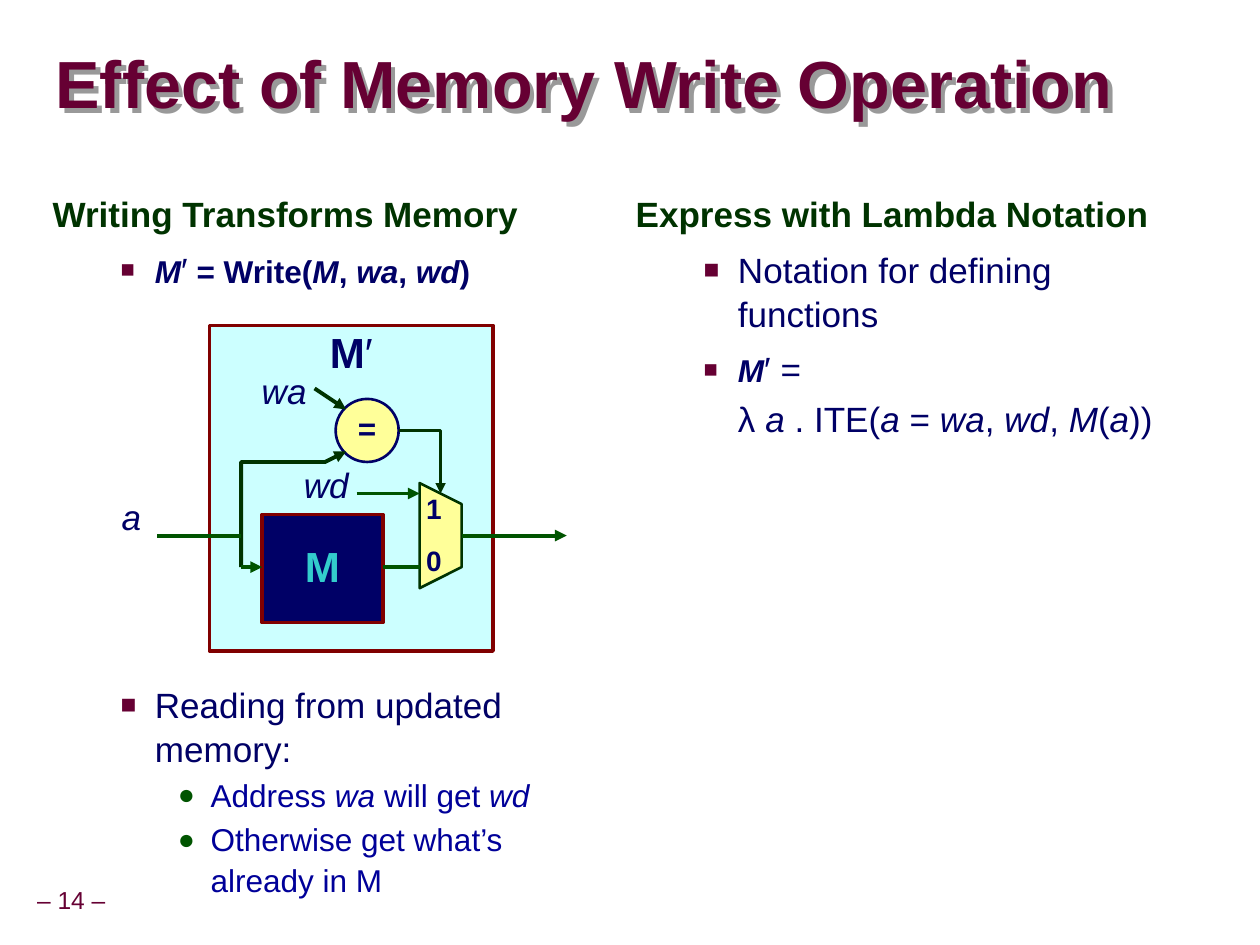
from collections import namedtuple
from lxml.etree import SubElement
from pptx import Presentation
from pptx.dml.color import RGBColor
from pptx.enum.shapes import MSO_CONNECTOR as Link, MSO_SHAPE as Shape
from pptx.enum.text import MSO_ANCHOR as Anchor, PP_ALIGN as Align
from pptx.oxml.ns import qn
from pptx.util import Cm, Pt

FONT = "Arial"
WINE = RGBColor(0x66, 0x00, 0x33)
FOREST = RGBColor(0x00, 0x33, 0x00)
GREEN = RGBColor(0x00, 0x54, 0x00)
NAVY = RGBColor(0x00, 0x00, 0x66)
BLUE = RGBColor(0x00, 0x00, 0x99)
MAROON = RGBColor(0x80, 0x00, 0x00)
AQUA = RGBColor(0xCC, 0xFF, 0xFF)
TEAL = RGBColor(0x33, 0xCC, 0xCC)
YELLOW = RGBColor(0xFF, 0xFF, 0x99)
SHADOW = RGBColor(0x99, 0x99, 0x99)

Box = namedtuple("Box", "left top width height")
Level = namedtuple("Level", "size color bold spacing before margin hang bullet")
Bullet = namedtuple("Bullet", "char color percent")

SQUARE = Bullet("■", WINE, 75)
DOT = Bullet("●", GREEN, 90)
HEADING = Level(20, FOREST, True, 0.95, 12.5, 0, 0, None)
ITEM = Level(20, NAVY, False, 1.05, 6.2, 2.06, 0.69, SQUARE)
FORMULA = Level(20, NAVY, False, 0.95, 6.2, 2.06, 0, None)
SUBITEM = Level(18, BLUE, False, 1.07, 2.2, 3.18, 0.66, DOT)


def add_spans(para, text, size=20, color=NAVY, bold=False):
    """Add text to a paragraph; parts between bars are italic."""
    for index, part in enumerate(text.split("|")):
        if part:
            span = para.add_run()
            span.text = part
            font = span.font
            font.name, font.size, font.bold = FONT, Pt(size), bold
            font.italic = index % 2 == 1
            font.color.rgb = color


def prepare_frame(frame, anchor=Anchor.TOP, wrap=True, inset=0.13, side=0.13):
    frame.word_wrap = wrap
    frame.vertical_anchor = anchor
    frame.margin_left = frame.margin_right = Cm(side)
    frame.margin_top = frame.margin_bottom = Cm(inset)
    return frame


def write_label(shape, *pieces, anchor=Anchor.MIDDLE):
    """Write one centred line from (text, format) pieces."""
    para = prepare_frame(shape.text_frame, anchor, wrap=False).paragraphs[0]
    para.alignment, para.line_spacing = Align.CENTER, 0.9
    for text, style in pieces:
        add_spans(para, text, **style)


def set_bullet(para, level):
    props = para._p.get_or_add_pPr()
    props.set("marL", str(Cm(level.margin)))
    props.set("indent", str(-Cm(level.hang)))
    if level.bullet:
        color = SubElement(props, qn("a:buClr"))
        SubElement(color, qn("a:srgbClr"), val=str(level.bullet.color))
        SubElement(props, qn("a:buSzPct"), val=str(level.bullet.percent * 1000))
        SubElement(props, qn("a:buFont"), typeface=FONT)
        SubElement(props, qn("a:buChar"), char=level.bullet.char)
    else:
        SubElement(props, qn("a:buNone"))


def add_column(page, box, *lines):
    """Add a text column; each line is a level and its (text, format) pieces."""
    frame = prepare_frame(page.shapes.add_textbox(*box).text_frame, side=0.25)
    for index, (level, *pieces) in enumerate(lines):
        para = frame.add_paragraph() if index else frame.paragraphs[0]
        para.line_spacing, para.space_before = level.spacing, Pt(level.before)
        set_bullet(para, level)
        base = dict(size=level.size, color=level.color, bold=level.bold)
        for text, style in pieces:
            add_spans(para, text, **{**base, **style})


def add_title(page, box, text):
    shape = page.shapes.add_textbox(*box)
    frame = prepare_frame(shape.text_frame, Anchor.MIDDLE, inset=0, side=0)
    para = frame.paragraphs[0]
    para.line_spacing = 0.87
    add_spans(para, text, size=38, color=WINE, bold=True)
    effects = SubElement(shape._element.spPr, qn("a:effectLst"))
    shadow = SubElement(effects, qn("a:outerShdw"), blurRad="0",
                        dist=str(Cm(0.13)), dir="2700000", algn="ctr", rotWithShape="0")
    SubElement(shadow, qn("a:srgbClr"), val=str(SHADOW))


def style_shape(shape, fill, line, width):
    shape.shadow.inherit = False
    if fill is None:
        shape.fill.background()
    else:
        shape.fill.solid()
        shape.fill.fore_color.rgb = fill
    shape.line.color.rgb = line
    shape.line.width = Pt(width)


def add_arrowhead(shape):
    SubElement(shape.line._get_or_add_ln(), qn("a:tailEnd"), type="triangle")


def add_memory_diagram(page, box):
    """Draw the memory circuit on a grid of 27 columns across the box."""
    unit = box.width / 27

    def at(x, y):
        return round(box.left + x * unit), round(box.top + y * unit)

    def size(width, height):
        return round(width * unit), round(height * unit)

    def block(kind, x, y, width, height, fill, line, weight):
        shape = page.shapes.add_shape(kind, *at(x, y), *size(width, height))
        style_shape(shape, fill, line, weight)
        return shape

    def outline(points, closed, fill, line, weight):
        corners = [at(*point) for point in points]
        builder = page.shapes.build_freeform(*corners[0])
        builder.add_line_segments(corners[1:], close=closed)
        shape = builder.convert_to_shape()
        style_shape(shape, fill, line, weight)
        return shape

    def wire(start, end, color=GREEN, arrow=True):
        line = page.shapes.add_connector(Link.STRAIGHT, *at(*start), *at(*end))
        line.line.color.rgb = color
        line.line.width = Pt(2.25)
        if arrow:
            add_arrowhead(line)
        SubElement(line._element.spPr, qn("a:effectLst"))

    outer = block(Shape.RECTANGLE, 0, 0, 27, 31, AQUA, MAROON, 2)
    write_label(outer, ("M", dict(size=24, bold=True)), ("′", dict(size=24)),
                anchor=Anchor.TOP)
    memory = block(Shape.RECTANGLE, 5, 18, 11.5, 10.3, NAVY, MAROON, 2)
    write_label(memory, ("M", dict(size=24, color=TEAL, bold=True)))
    equals = block(Shape.OVAL, 12, 7, 6, 6, YELLOW, NAVY, 1.5)
    write_label(equals, ("=", dict(size=18, bold=True)))
    outline([(20, 25), (20, 15), (24, 17), (24, 23)], True, YELLOW, FOREST, 1.5)

    for points, weight in (([(3, 23), (3, 13), (11, 13), (13, 12)], 2.25),
                           ([(18, 10), (22, 10), (22, 16)], 1.5)):
        add_arrowhead(outline(points, False, None, FOREST, weight))

    wire((16.5, 23), (20, 23), arrow=False)
    wire((3, 23), (5, 23))
    wire((14, 16), (20, 16))
    wire((10, 6), (13, 8), color=FOREST)
    wire((-5, 20), (3, 20), arrow=False)
    wire((24, 20), (34, 20))

    for text, x, y, width, height, style in (
            ("|wa|", 4, 4, 6.2, 4.8, {}),
            ("|wd|", 8, 13, 6.2, 4.8, {}),
            ("|a|", -9, 16, 3.1, 4.8, {}),
            ("1", 20, 16.6, 2.6, 2, dict(size=16, bold=True)),
            ("0", 20, 21.6, 2.6, 2, dict(size=16, bold=True))):
        label = page.shapes.add_textbox(*at(x, y), *size(width, height))
        write_label(label, (text, style))


def add_page_number(page, box, text):
    write_label(page.shapes.add_textbox(*box), (text, dict(size=14, color=WINE)))


def main():
    deck = Presentation()
    deck.slide_width, deck.slide_height = Cm(25.37), Cm(19.02)
    page = deck.slides.add_slide(deck.slide_layouts[6])
    strong = dict(size=18, bold=True)

    add_page_number(page, Box(Cm(0), Cm(17.75), Cm(2.87), Cm(0.79)), "– 14 –")
    add_title(page, Box(Cm(1.12), Cm(0.69), Cm(24.18), Cm(2.16)),
              "Effect of Memory Write Operation")
    add_column(page, Box(Cm(0.81), Cm(3.81), Cm(11.3), Cm(2.4)),
               (HEADING, ("Writing Transforms Memory", {})),
               (ITEM, ("|M|", strong), ("′", {}),
                (" = Write(|M|, |wa|, |wd|)", strong)))
    add_column(page, Box(Cm(0.81), Cm(13.58), Cm(11.3), Cm(4.9)),
               (ITEM, ("Reading from updated memory:", {})),
               (SUBITEM, ("Address |wa| will get |wd|", {})),
               (SUBITEM, ("Otherwise get what’s already in M", {})))
    add_column(page, Box(Cm(12.55), Cm(3.81), Cm(11.3), Cm(5.6)),
               (HEADING, ("Express with Lambda Notation", {})),
               (ITEM, ("Notation for defining functions", {})),
               (ITEM, ("|M|", strong), ("′ =", {})),
               (FORMULA, ("λ |a |. ITE(|a| = |wa|, |wd|, |M|(|a|))", {})))
    add_memory_diagram(page, Box(Cm(4.22), Cm(6.55), Cm(5.71), Cm(6.55)))
    deck.save("out.pptx")


if __name__ == "__main__":
    main()
